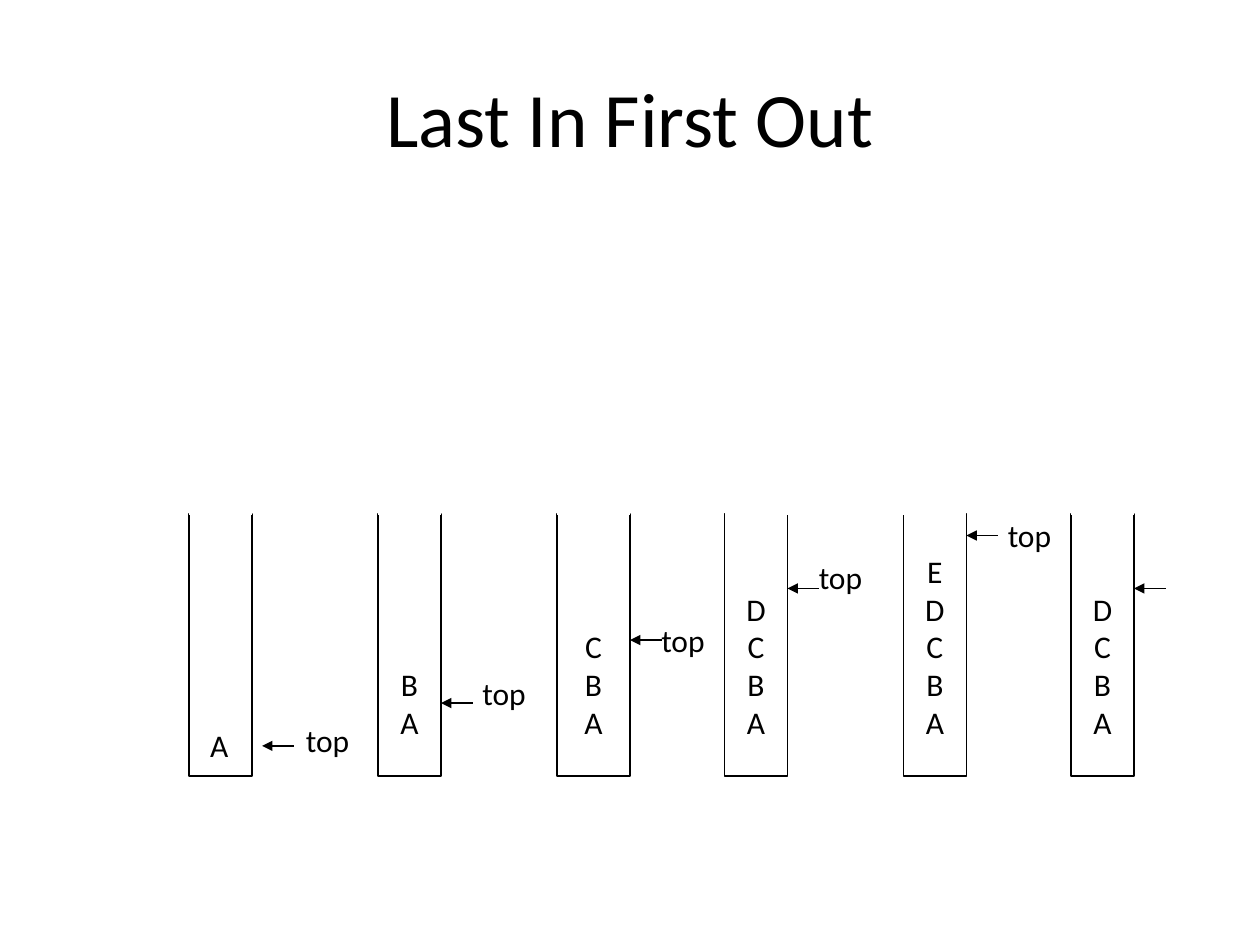
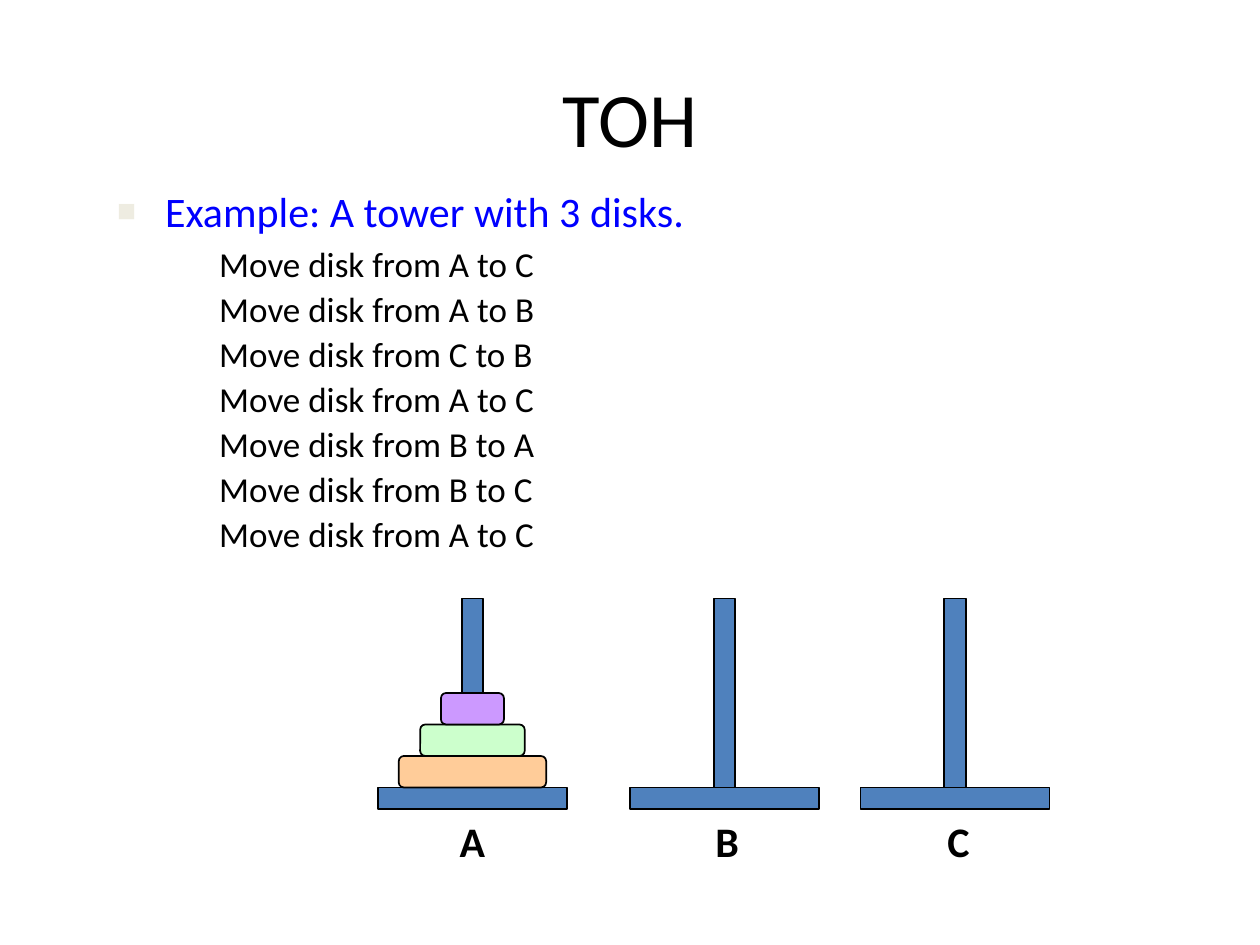
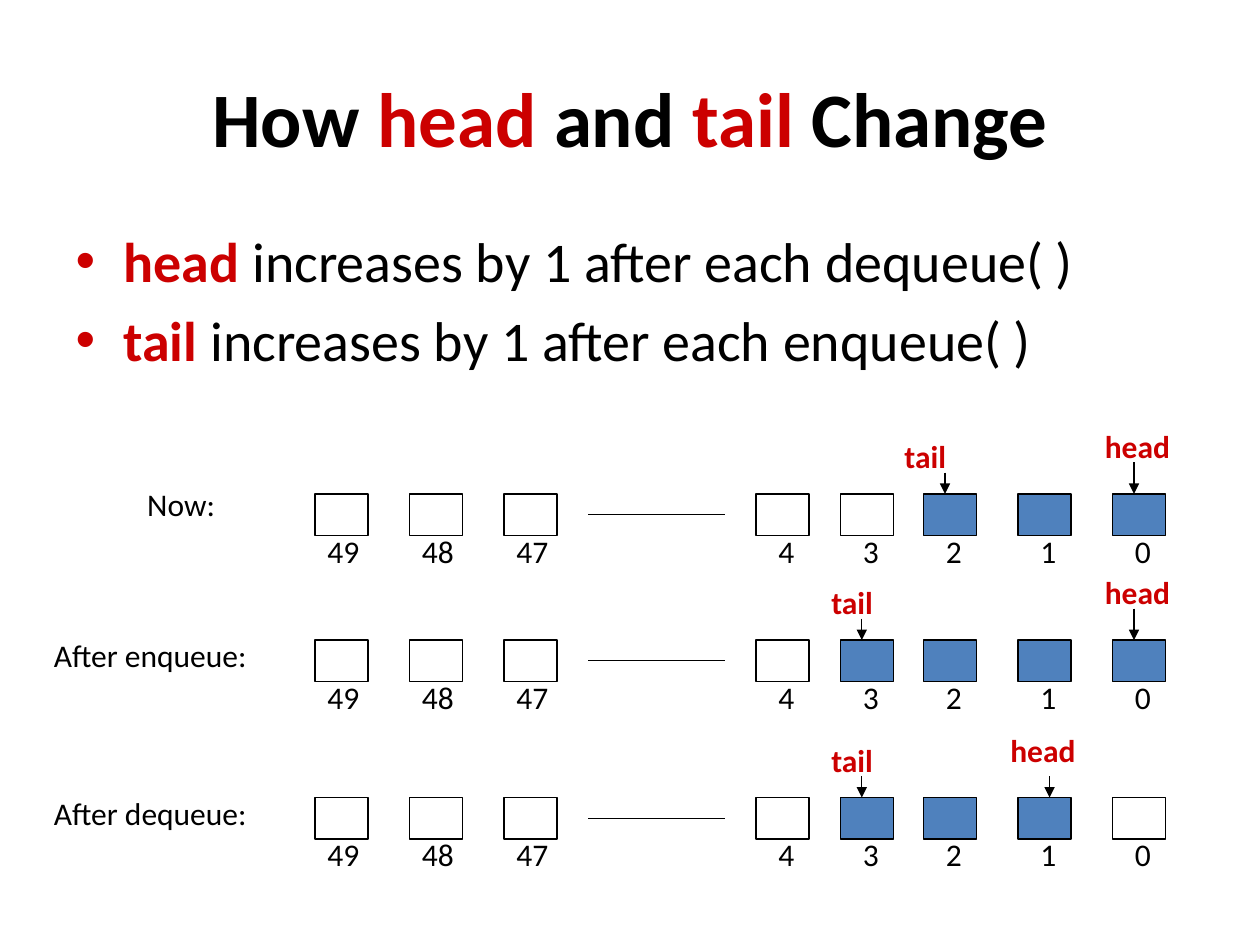
from lxml.etree import SubElement
from pptx import Presentation
from pptx.dml.color import RGBColor
from pptx.enum.shapes import MSO_CONNECTOR, MSO_SHAPE
from pptx.enum.text import MSO_ANCHOR, PP_ALIGN
from pptx.oxml.ns import qn
from pptx.util import Inches, Pt

FONT = "Calibri"
COLORS = {
    "black": "000000", "white": "FFFFFF", "red": "CC0000", "blue": "0000FF",
    "steel": "4F81BD", "cream": "EEECE1",
    "orange": "FFCC99", "green": "CCFFCC", "purple": "CC99FF",
}
TITLE_ONLY, TITLE_AND_BODY = 5, 1

# Stacks: left, width, letters from the top, gap before the arrow, arrow height
STACK_TOP, STACK_HEIGHT, ARROW_LENGTH = 4.08, 2.08, 0.25
STACKS = [
    (1.5, 0.5, "", 0.08, 5.92),
    (3, 0.5, "BA", 0, 5.58),
    (4.42, 0.58, "CBA", 0, 5.08),
    (5.75, 0.5, "DCBA", 0, 4.67),
    (7.17, 0.5, "EDCBA", 0, 4.25),
    (8.5, 0.5, "DCBA", 0, 4.67),
]
STACK_LABELS = [
    ("A", 1.57, 5.71), ("top", 2.33, 5.67), ("top", 3.73, 5.3),
    ("top", 5.15, 4.88), ("top", 6.4, 4.38), ("top", 7.9, 4.05),
]

# Tower of Hanoi: moves, pegs (name, base left, name left), disks from the bottom
TOWER_HEADING = "Example: A tower with 3 disks."
MOVES = ["AC", "AB", "CB", "AC", "BA", "BC", "AC"]
PEGS = [("A", 3, 3.55), ("B", 5, 5.58), ("C", 6.83, 7.42)]
DISKS = [(1.17, "orange"), (0.83, "green"), (0.5, "purple")]
BASE_TOP, BASE_WIDTH, POLE_HEIGHT, BAR, DISK_HEIGHT = 6.25, 1.5, 1.5, 0.17, 0.25

# Queue: spans are (text, colour, bold)
QUEUE_TITLE = [
    ("How ", "black", True), ("head", "red", True), (" and ", "black", True),
    ("tail", "red", True), (" Change", "black", True),
]
QUEUE_RULES = [
    [("head ", "red", True), ("increases by 1 after each dequeue( )", "black", False)],
    [("tail ", "red", True), ("increases by 1 after each enqueue( )", "black", False)],
]
CELLS = {49: 2.5, 48: 3.25, 47: 4, 4: 6, 3: 6.67, 2: 7.33, 1: 8.08, 0: 8.83}
CELL_WIDTH, CELL_HEIGHT = 0.42, 0.33
# Pointers: word, cell, shift of word, rise of word, shift of arrow, arrow length
QUEUE_ROWS = [
    ("Now:", 1.07, 3.8, 3.92, {0, 1, 2},
     [("tail", 2, -0.25, 0.5, 0.17, 0.17), ("head", 0, -0.16, 0.58, 0.17, 0.25)]),
    ("After enqueue:", 0.33, 5, 5.08, {0, 1, 2, 3},
     [("tail", 3, -0.17, 0.5, 0.17, 0.17), ("head", 0, -0.16, 0.58, 0.17, 0.25)]),
    ("After dequeue:", 0.33, 6.25, 6.33, {1, 2, 3},
     [("tail", 3, -0.17, 0.5, 0.17, 0.17), ("head", 1, -0.16, 0.58, 0.25, 0.17)]),
]


def rgb(name):
    return RGBColor.from_string(COLORS[name])


def style_font(font, size, color="black", bold=None):
    font.name, font.size, font.bold = FONT, Pt(size), bold
    font.color.rgb = rgb(color)


def write_spans(para, spans, size):
    for text, color, bold in spans:
        span = para.add_run()
        span.text = text
        style_font(span.font, size, color, bold)


def add_page(deck, layout, title_spans):
    page = deck.slides.add_slide(deck.slide_layouts[layout])
    para = page.shapes.title.text_frame.paragraphs[0]
    para.alignment = PP_ALIGN.CENTER
    write_spans(para, title_spans, 44)
    return page


def add_paragraphs(frame, count):
    return [frame.paragraphs[0]] + [frame.add_paragraph() for _ in range(count - 1)]


def add_label(page, text, left, top, width, size=18, color="black", bold=None):
    box = page.shapes.add_textbox(Inches(left), Inches(top), Inches(width), Inches(0.5))
    box.text_frame.word_wrap = True
    para = box.text_frame.paragraphs[0]
    para.text = text
    style_font(para.font, size, color, bold)


def add_block(page, left, top, width, height, fill=None, line=0.75,
              kind=MSO_SHAPE.RECTANGLE):
    block = page.shapes.add_shape(
        kind, Inches(left), Inches(top), Inches(width), Inches(height))
    block.shadow.inherit = False
    if fill:
        block.fill.solid()
        block.fill.fore_color.rgb = rgb(fill)
    else:
        block.fill.background()
    block.line.color.rgb = rgb("black")
    block.line.width = Pt(line)
    return block


def add_line(page, start, end, color="black", arrow=False):
    line = page.shapes.add_connector(
        MSO_CONNECTOR.STRAIGHT, *(Inches(value) for value in (*start, *end)))
    line.line.color.rgb = rgb(color)
    line.line.width = Pt(0.75)
    if arrow:
        SubElement(line.line._get_or_add_ln(), qn("a:tailEnd"), type="triangle")
    SubElement(line._element.spPr, qn("a:effectLst"))


def set_bullet(para, margin, indent=0.0, char=None, color=None, percent=100):
    """Indent a paragraph and give it a bullet, or none without a char."""
    props = para._p.get_or_add_pPr()
    props.set("marL", str(Inches(margin)))
    props.set("indent", str(Inches(indent)))
    if not char:
        SubElement(props, qn("a:buNone"))
        return
    if color:
        paint = SubElement(props, qn("a:buClr"))
        SubElement(paint, qn("a:srgbClr"), val=COLORS[color])
    SubElement(props, qn("a:buSzPct"), val=str(percent * 1000))
    SubElement(props, qn("a:buFont"), typeface="Arial")
    SubElement(props, qn("a:buChar"), char=char)


def build_stack_page(deck):
    page = add_page(deck, TITLE_ONLY, [("Last In First Out", "black", None)])
    for left, width, letters, gap, arrow_top in STACKS:
        right = left + width
        stack = add_block(page, left, STACK_TOP, width, STACK_HEIGHT)
        if letters:
            frame = stack.text_frame
            frame.word_wrap = False
            frame.vertical_anchor = MSO_ANCHOR.BOTTOM
            frame.margin_bottom = Inches(0.28)
            for para, letter in zip(add_paragraphs(frame, len(letters)), letters):
                para.text = letter
                para.alignment = PP_ALIGN.CENTER
                style_font(para.font, 18)
        add_line(page, (left, STACK_TOP), (right, STACK_TOP), "white")
        tip = right + gap
        add_line(page, (tip + ARROW_LENGTH, arrow_top), (tip, arrow_top), arrow=True)
    for text, left, top in STACK_LABELS:
        add_label(page, text, left, top, 0.63)


def build_tower_page(deck):
    page = add_page(deck, TITLE_AND_BODY, [("TOH", "black", None)])
    body = page.placeholders[1]
    body.left, body.top = Inches(0.83), Inches(1.42)
    body.width, body.height = Inches(8.75), Inches(5.5)
    heading, *steps = add_paragraphs(body.text_frame, len(MOVES) + 1)
    heading.text = TOWER_HEADING
    set_bullet(heading, 0.38, -0.38, "■", "cream", 75)
    heading.alignment = PP_ALIGN.JUSTIFY
    heading.space_before, heading.space_after = Pt(0), Pt(2)
    style_font(heading.font, 24, "blue")
    for para, (source, target) in zip(steps, MOVES):
        para.text = f"Move disk from {source} to {target}"
        para.level = 1
        set_bullet(para, 0.81)
        para.alignment = PP_ALIGN.JUSTIFY
        para.space_before = Pt(1.7)
        style_font(para.font, 20)

    for name, left, name_left in PEGS:
        add_block(page, left, BASE_TOP, BASE_WIDTH, BAR, "steel", 1)
        add_block(page, left + (BASE_WIDTH - BAR) / 2, BASE_TOP - POLE_HEIGHT,
                  BAR, POLE_HEIGHT, "steel", 1)
        add_label(page, name, name_left, BASE_TOP + BAR, 0.5, 24, bold=True)
    center = PEGS[0][1] + BASE_WIDTH / 2
    for level, (width, color) in enumerate(DISKS, 1):
        add_block(page, center - width / 2, BASE_TOP - level * DISK_HEIGHT, width,
                  DISK_HEIGHT, color, 1, MSO_SHAPE.ROUNDED_RECTANGLE)


def build_queue_page(deck):
    page = add_page(deck, TITLE_AND_BODY, QUEUE_TITLE)
    frame = page.placeholders[1].text_frame
    paras = add_paragraphs(frame, len(QUEUE_RULES))
    for para, spans in zip(paras, QUEUE_RULES):
        set_bullet(para, 0.38, -0.38, "•")
        write_spans(para, spans, 32)
    paras[0].space_before = Pt(0)

    for caption, caption_left, caption_top, top, filled, pointers in QUEUE_ROWS:
        add_label(page, caption, caption_left, caption_top, 2.19)
        for number, left in CELLS.items():
            add_block(page, left, top, CELL_WIDTH, CELL_HEIGHT,
                      "steel" if number in filled else None)
            shift, width = (0, 0.58) if number > 9 else (0.08, 0.37)
            add_label(page, str(number), left + shift, top + 0.25, width)
        middle = top + CELL_HEIGHT / 2
        add_line(page, (4.67, middle), (5.75, middle))
        for word, cell, word_shift, rise, arrow_shift, length in pointers:
            left = CELLS[cell]
            add_label(page, word, left + word_shift, top - rise, 0.89,
                      color="red", bold=True)
            arrow_left = left + arrow_shift
            add_line(page, (arrow_left, top - length), (arrow_left, top), arrow=True)


def main():
    deck = Presentation()
    deck.slide_width, deck.slide_height = Inches(10), Inches(7.5)
    build_stack_page(deck)
    build_tower_page(deck)
    build_queue_page(deck)
    deck.save("out.pptx")


if __name__ == "__main__":
    main()
